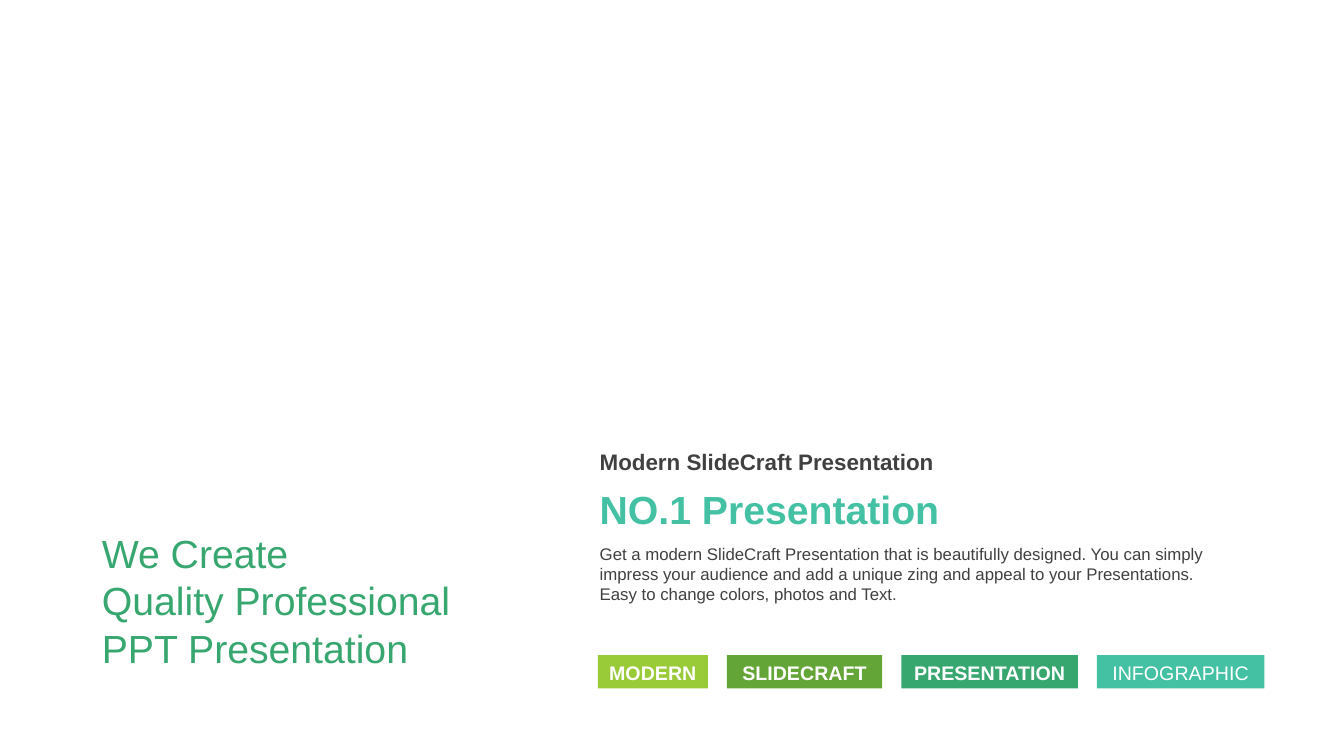
from dataclasses import dataclass

from pptx import Presentation
from pptx.dml.color import RGBColor
from pptx.enum.shapes import MSO_SHAPE
from pptx.enum.text import MSO_ANCHOR, MSO_AUTO_SIZE, PP_ALIGN
from pptx.util import Pt

RECTANGLE = MSO_SHAPE.RECTANGLE
TOP, MIDDLE = MSO_ANCHOR.TOP, MSO_ANCHOR.MIDDLE
LEFT, CENTER = PP_ALIGN.LEFT, PP_ALIGN.CENTER
FIT_SHAPE = MSO_AUTO_SIZE.SHAPE_TO_FIT_TEXT
EMU_PER_PX = 9144


@dataclass(frozen=True)
class Theme:
    font: str = "Arial"
    lime: str = "99CB38"
    leaf: str = "63A537"
    green: str = "37A76F"
    teal: str = "44C1A3"
    dark: str = "404040"
    white: str = "FFFFFF"
    title: int = 28
    subtitle: int = 16
    label: int = 14
    body: int = 12


def px(*lengths):
    return [length * EMU_PER_PX for length in lengths]


def write_text(frame, text, *, font, size, color, bold=False, align=LEFT,
               anchor=TOP, insets=(10, 5, 10, 5), line_spacing=None, space_before=None):
    frame.word_wrap = True
    frame.vertical_anchor = anchor
    (frame.margin_left, frame.margin_top,
     frame.margin_right, frame.margin_bottom) = px(*insets)
    frame.text = text
    for paragraph in frame.paragraphs:
        paragraph.alignment = align
        paragraph.line_spacing = line_spacing
        paragraph.space_before = space_before
        for run in paragraph.runs:
            run.font.name = font
            run.font.size = Pt(size)
            run.font.bold = bold
            run.font.color.rgb = RGBColor.from_string(color)


class SlideBuilder:
    def __init__(self, slide, theme):
        self.slide = slide
        self.theme = theme

    def text_box(self, box, text, **text_format):
        shape = self.slide.shapes.add_textbox(*px(*box))
        write_text(shape.text_frame, text, font=self.theme.font, **text_format)
        shape.text_frame.auto_size = FIT_SHAPE

    def tag(self, box, text, fill, bold):
        shape = self.slide.shapes.add_shape(RECTANGLE, *px(*box))
        shape.shadow.inherit = False
        shape.fill.solid()
        shape.fill.fore_color.rgb = RGBColor.from_string(fill)
        shape.line.fill.background()
        write_text(shape.text_frame, text, font=self.theme.font, size=self.theme.label,
                   color=self.theme.white, bold=bold, align=CENTER, anchor=MIDDLE,
                   insets=(10, 10, 10, 5), line_spacing=0.9, space_before=Pt(10))

    def tag_row(self, left, top, height, gap, tags):
        for text, width, fill, bold in tags:
            self.tag((left, top, width, height), text, fill, bold)
            left += width + gap


def main():
    presentation = Presentation()
    presentation.slide_width, presentation.slide_height = px(1333, 750)
    theme = Theme()
    slide = presentation.slides.add_slide(presentation.slide_layouts[6])
    builder = SlideBuilder(slide, theme)

    builder.text_box((585, 477, 644, 57), "NO.1 Presentation",
                     size=theme.title, color=theme.teal, bold=True)
    builder.text_box((585, 440, 644, 37), "Modern SlideCraft Presentation",
                     size=theme.subtitle, color=theme.dark, bold=True)
    builder.text_box((585, 534, 644, 71),
                     "Get a modern SlideCraft Presentation that is beautifully designed. "
                     "You can simply impress your audience and add a unique zing and appeal "
                     "to your Presentations. Easy to change colors, photos and Text.",
                     size=theme.body, color=theme.dark)
    builder.tag_row(593, 650, 33, 19, [
        ("MODERN", 109, theme.lime, True),
        ("SLIDECRAFT", 154, theme.leaf, True),
        ("PRESENTATION", 175, theme.green, True),
        ("INFOGRAPHIC", 166, theme.teal, False),
    ])
    builder.text_box((97, 525, 371, 141),
                     "We Create\nQuality Professional\nPPT Presentation",
                     size=theme.title, color=theme.green, anchor=MIDDLE, insets=(4, 0, 4, 0))

    presentation.save("out.pptx")


if __name__ == "__main__":
    main()
